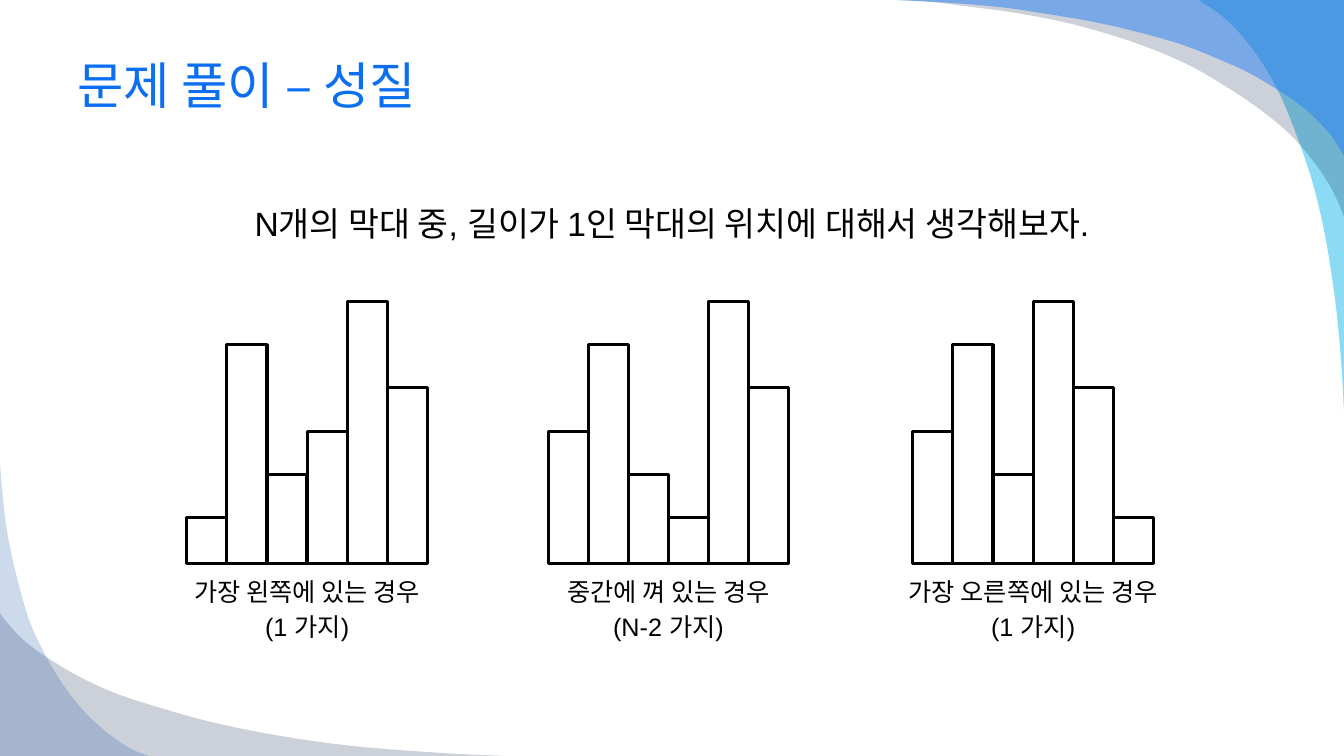
from lxml.etree import SubElement
from pptx import Presentation
from pptx.dml.color import RGBColor
from pptx.enum.shapes import MSO_SHAPE
from pptx.enum.text import MSO_ANCHOR, PP_ALIGN
from pptx.oxml.ns import qn
from pptx.util import Pt

COLORS = {
    "title": "0C6FF2", "text": "000000", "bar": "FFFFFF", "outline": "000000",
    "cyan": "00B1E9", "slate": "021741", "blue": "247FF4", "navy": "084AA1",
}
FONT = "Arial"
SLIDE_WIDTH, SLIDE_HEIGHT = 960, 540
BAR_WIDTH, SHORTEST_BAR, BAR_STEP = 28.65, 33, 30.9
CAPTION_WIDTH, CAPTION_HEIGHT = 212, 62.6

TOP_RIGHT, BOTTOM_LEFT = (SLIDE_WIDTH, 0), (0, SLIDE_HEIGHT)
# Colour, opacity in percent, slide corner, points along the curved edge
SWOOSHES = [
    ("cyan", 45, TOP_RIGHT, [
        (856, 0), (871, 10), (884, 22), (900, 42.5), (914, 67), (927, 99),
        (938, 132), (947, 171), (954, 217), (958, 259), (960, 294)]),
    ("slate", 20, TOP_RIGHT, [
        (640, 0), (666, 1.5), (690, 4.5), (724, 9), (765, 17), (809, 30),
        (846, 45), (876, 62), (901, 79), (922, 96.5), (938, 115),
        (949.5, 132), (956, 145), (960, 155)]),
    ("blue", 49, TOP_RIGHT, [
        (640, 0), (678, 2), (713.5, 5), (745, 9.5), (783, 16), (817, 24),
        (846, 32.5), (871, 42.5), (892, 52), (914, 65), (930.5, 76.5),
        (942, 87), (952.5, 99), (960, 111.6)]),
    ("slate", 20, BOTTOM_LEFT, [
        (0, 438), (3, 442), (11.5, 452), (22, 461.5), (36.5, 471.5),
        (56, 483), (82, 495), (114, 505.5), (152, 516), (199, 525.5),
        (253, 533), (317.5, 538), (360, 540)]),
    ("navy", 20, BOTTOM_LEFT, [
        (0, 330), (2, 355), (6, 385), (13.5, 418), (22, 446), (33, 469),
        (45, 489), (59, 507), (75, 522), (91, 533.5), (102, 538.5),
        (106.5, 540)]),
]
# Left edge, bar lengths, caption lines
CASES = [
    (133.4, [1, 5, 2, 3, 6, 4], ["가장 왼쪽에 있는 경우", "(1 가지)"]),
    (391.5, [3, 5, 2, 1, 6, 4], ["중간에 껴 있는 경우", "(N-2 가지)"]),
    (652, [3, 5, 2, 6, 4, 1], ["가장 오른쪽에 있는 경우", "(1 가지)"]),
]


def rgb(name):
    return RGBColor.from_string(COLORS[name])


def smooth_curve(points, steps=5):
    """Return a Catmull-Rom curve through the points, in EMU."""
    padded = [points[0], *points, points[-1]]
    curve = []
    for a, b, c, d in zip(padded, padded[1:], padded[2:], padded[3:]):
        for step in range(steps):
            t = step / steps
            curve.append(tuple(
                Pt(q + t * (r - p) / 2
                   + t ** 2 * (2 * p - 5 * q + 4 * r - s) / 2
                   + t ** 3 * (3 * q - p - 3 * r + s) / 2)
                for p, q, r, s in zip(a, b, c, d)))
    return curve + [tuple(Pt(value) for value in points[-1])]


def add_swoosh(slide, color, opacity, corner, edge):
    curve = smooth_curve(edge)
    outline = slide.shapes.build_freeform(*curve[0])
    outline.add_line_segments(
        curve[1:] + [tuple(Pt(value) for value in corner)], close=True)
    swoosh = outline.convert_to_shape()
    swoosh.shadow.inherit = False
    swoosh.line.fill.background()
    swoosh.fill.solid()
    swoosh.fill.fore_color.rgb = rgb(color)
    swatch = swoosh.element.spPr.find(qn("a:solidFill"))[0]
    SubElement(swatch, qn("a:alpha"), val=str(opacity * 1000))


def format_text(frame, size, color, align, space_before=0):
    frame.word_wrap = True
    for paragraph in frame.paragraphs:
        paragraph.alignment = align
        paragraph.space_before = Pt(space_before)
        for run in paragraph.runs:
            run.font.name = FONT
            run.font.size = Pt(size)
            run.font.color.rgb = rgb(color)


def place_title(slide, left, top, width, height):
    title = slide.shapes.title
    title.left, title.top = Pt(left), Pt(top)
    title.width, title.height = Pt(width), Pt(height)
    title.text_frame.text = "문제 풀이 – 성질"
    title.text_frame.vertical_anchor = MSO_ANCHOR.MIDDLE
    format_text(title.text_frame, 36, "title", PP_ALIGN.LEFT)
    # Bring the title in front of the swooshes
    title.element.getparent().append(title.element)


def add_centered_text(slide, lines, size, left, top, width, height,
                      anchor=MSO_ANCHOR.TOP, space_before=0):
    frame = slide.shapes.add_textbox(
        Pt(left), Pt(top), Pt(width), Pt(height)).text_frame
    frame.text = "\n".join(lines)
    frame.vertical_anchor = anchor
    format_text(frame, size, "text", PP_ALIGN.CENTER, space_before)


def add_case(slide, left, baseline, lengths, caption):
    """Draw one arrangement of bars, with its caption centred below."""
    by_length = sorted(enumerate(lengths), key=lambda bar: -bar[1])
    for position, length in by_length:
        height = SHORTEST_BAR + (length - 1) * BAR_STEP
        bar = slide.shapes.add_shape(
            MSO_SHAPE.RECTANGLE, Pt(left + position * BAR_WIDTH),
            Pt(baseline - height), Pt(BAR_WIDTH), Pt(height))
        bar.shadow.inherit = False
        bar.fill.solid()
        bar.fill.fore_color.rgb = rgb("bar")
        bar.line.color.rgb = rgb("outline")
        bar.line.width = Pt(2.25)
    center = left + len(lengths) * BAR_WIDTH / 2
    add_centered_text(slide, caption, 18, center - CAPTION_WIDTH / 2,
                      baseline + 5.5, CAPTION_WIDTH, CAPTION_HEIGHT,
                      space_before=3.6)


def main():
    presentation = Presentation()
    presentation.slide_width = Pt(SLIDE_WIDTH)
    presentation.slide_height = Pt(SLIDE_HEIGHT)
    slide = presentation.slides.add_slide(presentation.slide_layouts[5])
    for swoosh in SWOOSHES:
        add_swoosh(slide, *swoosh)
    place_title(slide, 48, 24, 864, 72.7)
    add_centered_text(
        slide, ["N개의 막대 중, 길이가 1인 막대의 위치에 대해서 생각해보자."],
        24, 48, 139, 864, 40, MSO_ANCHOR.MIDDLE)
    for left, lengths, caption in CASES:
        add_case(slide, left, 402.75, lengths, caption)
    presentation.save("out.pptx")


if __name__ == "__main__":
    main()
